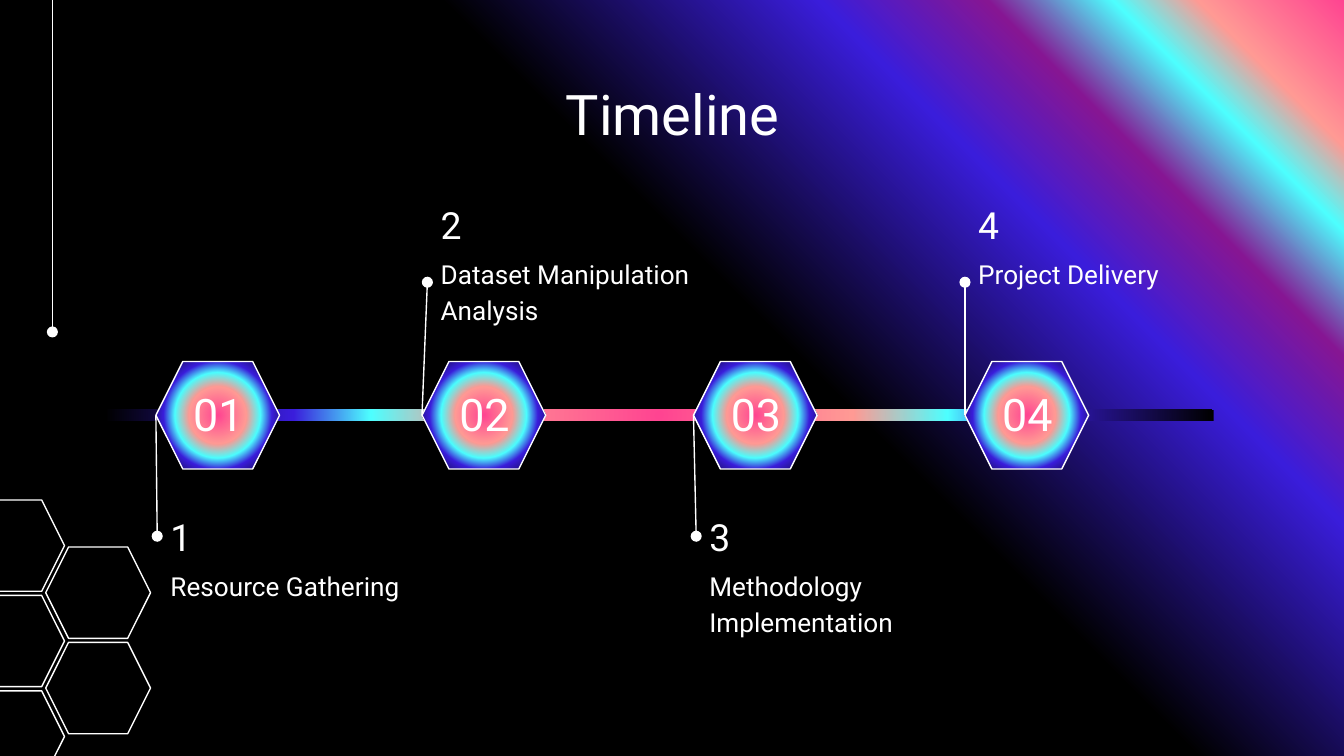
from lxml import etree
from pptx import Presentation
from pptx import util as u
from pptx.dml.color import RGBColor
from pptx.enum import shapes, text
from pptx.oxml import parse_xml
from pptx.oxml.ns import nsdecls, qn

COLORS = {
    "white": "FFFFFF",
    "pink": "FF4491",
    "salmon": "FF9A94",
    "cyan": "4DFFFF",
    "purple": "861693",
    "blue": "3A1DDB",
    "black": "000000",
}
FONT = "Roboto"
GLOW = [(0, "pink"), (35, "salmon"), (52, "cyan"), (66, "blue"), (100, "black")]
BACKDROP = [(0, "pink"), (7, "salmon"), (11, "cyan"), (17, "purple"),
            (25, "blue"), (43, "black"), (100, "black")]
CENTER = '<a:fillToRect l="50000" t="50000" r="50000" b="50000"/>'
TOP_RIGHT = '<a:fillToRect l="100000" b="100000"/>'

HEXAGON_TOP, HEXAGON_WIDTH, HEXAGON_HEIGHT = 2.69, 0.92, 0.8
AXIS_Y = HEXAGON_TOP + HEXAGON_HEIGHT / 2
# Hexagon left, label left, label top, pin end, label width, label
STEPS = [
    (1.16, 1.17, 3.71, 3.99, 2.46, "Resource Gathering"),
    (3.14, 3.18, 1.39, 2.1, 2.32, "Dataset Manipulation Analysis"),
    (5.16, 5.18, 3.71, 3.99, 1.97, "Methodology Implementation"),
    (7.18, 7.18, 1.39, 2.1, 1.97, "Project Delivery"),
]
# Left, first top and count of each honeycomb column
HONEYCOMB = [(-0.3, 3.72, 3), (0.34, 4.07, 2)]


def color(name):
    return RGBColor.from_string(COLORS[name])


def set_path_gradient(owner, fill, stops, focus, tile=""):
    """Fill a shape or background with a circular gradient around the focus."""
    fill.gradient()
    old = owner.element.find(".//" + qn("a:gradFill"))
    stop_xml = "".join(
        f'<a:gs pos="{position * 1000}"><a:srgbClr val="{COLORS[name]}"/></a:gs>'
        for position, name in stops)
    new = parse_xml(
        f'<a:gradFill {nsdecls("a")} rotWithShape="1"><a:gsLst>{stop_xml}</a:gsLst>'
        f'<a:path path="circle">{focus}</a:path>{tile}</a:gradFill>')
    old.getparent().replace(old, new)


def add_shape(slide, kind, left, top, width, height, glowing, outlined):
    shape = slide.shapes.add_shape(
        kind, u.Inches(left), u.Inches(top), u.Inches(width), u.Inches(height))
    shape.shadow.inherit = False
    if glowing:
        set_path_gradient(shape, shape.fill, GLOW, CENTER)
    else:
        shape.fill.background()
    if outlined:
        shape.line.color.rgb = color("white")
        shape.line.width = u.Pt(0.75)
    else:
        shape.line.fill.background()
    return shape


def add_pin(slide, start, end):
    """Draw a thin line that ends in a dot."""
    pin = slide.shapes.add_connector(
        shapes.MSO_CONNECTOR.STRAIGHT, *(u.Inches(value) for value in start + end))
    pin.line.color.rgb = color("white")
    pin.line.width = u.Pt(0.75)
    etree.SubElement(pin.line._get_or_add_ln(), qn("a:tailEnd"), type="oval")
    etree.SubElement(pin.element.spPr, qn("a:effectLst"))


def add_text(slide, content, left, top, width, height, size,
             align=text.PP_ALIGN.LEFT, anchor=text.MSO_ANCHOR.TOP, spacing=1.0):
    box = slide.shapes.add_textbox(
        u.Inches(left), u.Inches(top), u.Inches(width), u.Inches(height))
    frame = box.text_frame
    frame.word_wrap = True
    frame.vertical_anchor = anchor
    frame.margin_left = frame.margin_right = u.Inches(0.1)
    frame.margin_top = frame.margin_bottom = u.Inches(0.1)
    paragraph = frame.paragraphs[0]
    paragraph.alignment = align
    paragraph.line_spacing = spacing
    run = paragraph.add_run()
    run.text = content
    run.font.name = FONT
    run.font.size = u.Pt(size)
    run.font.color.rgb = color("white")


def add_honeycomb(slide):
    for left, first_top, count in HONEYCOMB:
        for row in reversed(range(count)):
            add_shape(slide, shapes.MSO_SHAPE.HEXAGON, left, first_top + row * 0.71,
                      0.78, 0.68, glowing=False, outlined=True)


def add_step(slide, number, step):
    hexagon_left, label_left, label_top, pin_end, label_width, label = step
    middle = text.MSO_ANCHOR.MIDDLE
    add_text(slide, label, label_left, label_top + 0.4, label_width, 0.63, 14,
             spacing=1.15)
    add_text(slide, str(number), label_left, label_top, 1.97, 0.56, 20, anchor=middle)
    add_shape(slide, shapes.MSO_SHAPE.HEXAGON, hexagon_left, HEXAGON_TOP,
              HEXAGON_WIDTH, HEXAGON_HEIGHT, glowing=True, outlined=True)
    add_text(slide, f"{number:02}", hexagon_left + 0.08, 2.79, 0.77, 0.58, 24,
             align=text.PP_ALIGN.CENTER, anchor=middle)
    add_pin(slide, (hexagon_left, AXIS_Y), (label_left, pin_end))


def main():
    presentation = Presentation()
    presentation.slide_width = u.Inches(10)
    presentation.slide_height = u.Inches(5.625)
    slide = presentation.slides.add_slide(presentation.slide_layouts[6])
    set_path_gradient(slide, slide.background.fill, BACKDROP, TOP_RIGHT,
                      tile='<a:tileRect t="-100000" r="-100000"/>')

    add_honeycomb(slide)
    add_pin(slide, (0.39, 0), (0.39, 2.47))
    add_text(slide, "Timeline", 0.79, 0.49, 8.43, 0.63, 30,
             align=text.PP_ALIGN.CENTER)
    add_shape(slide, shapes.MSO_SHAPE.RECTANGLE, 0.78, 3.05, 8.25, 0.08,
              glowing=True, outlined=False)
    for number, step in enumerate(STEPS, start=1):
        add_step(slide, number, step)

    presentation.save("out.pptx")


if __name__ == "__main__":
    main()
